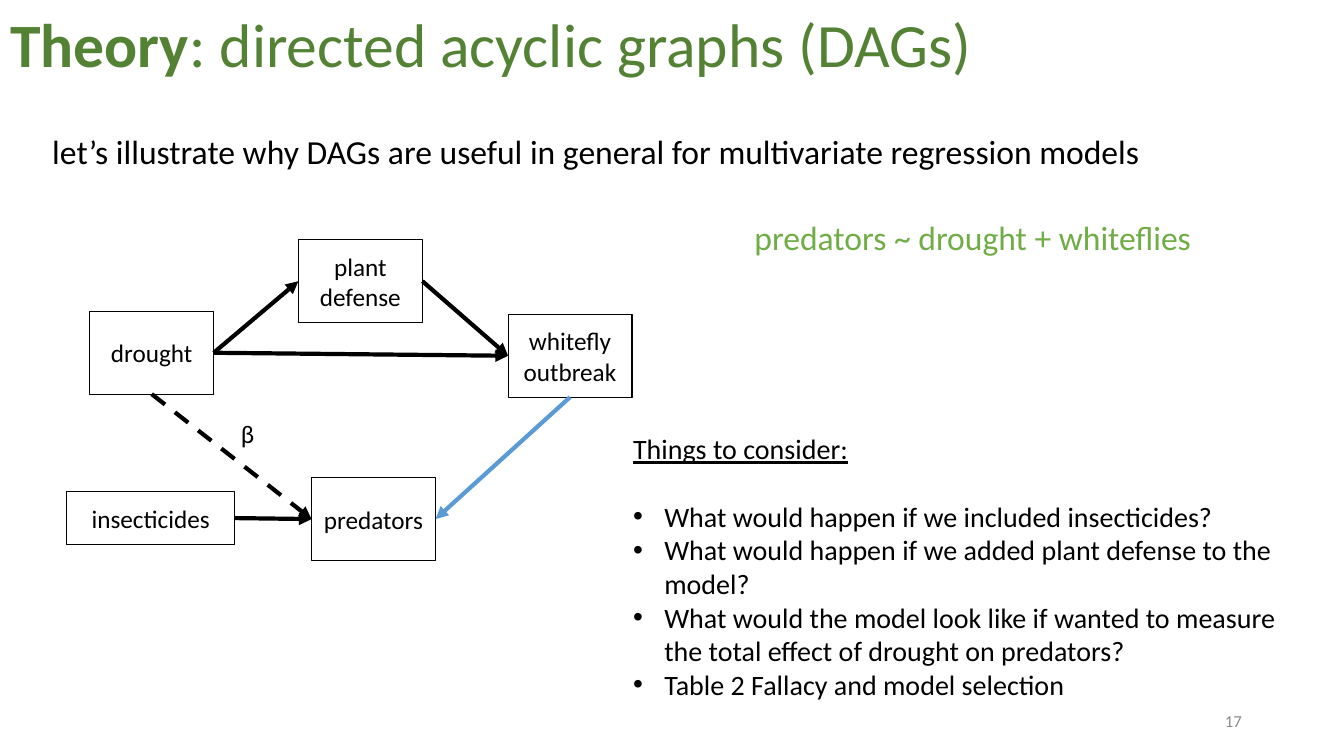
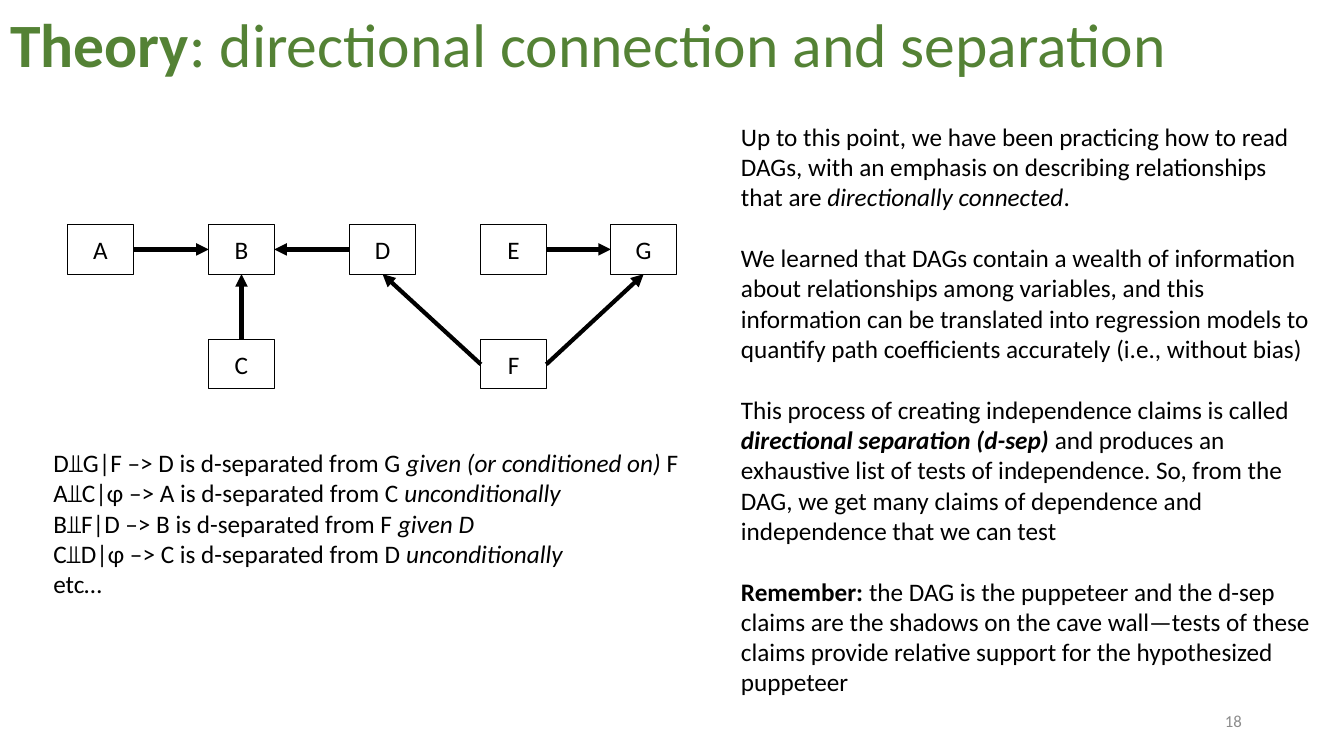
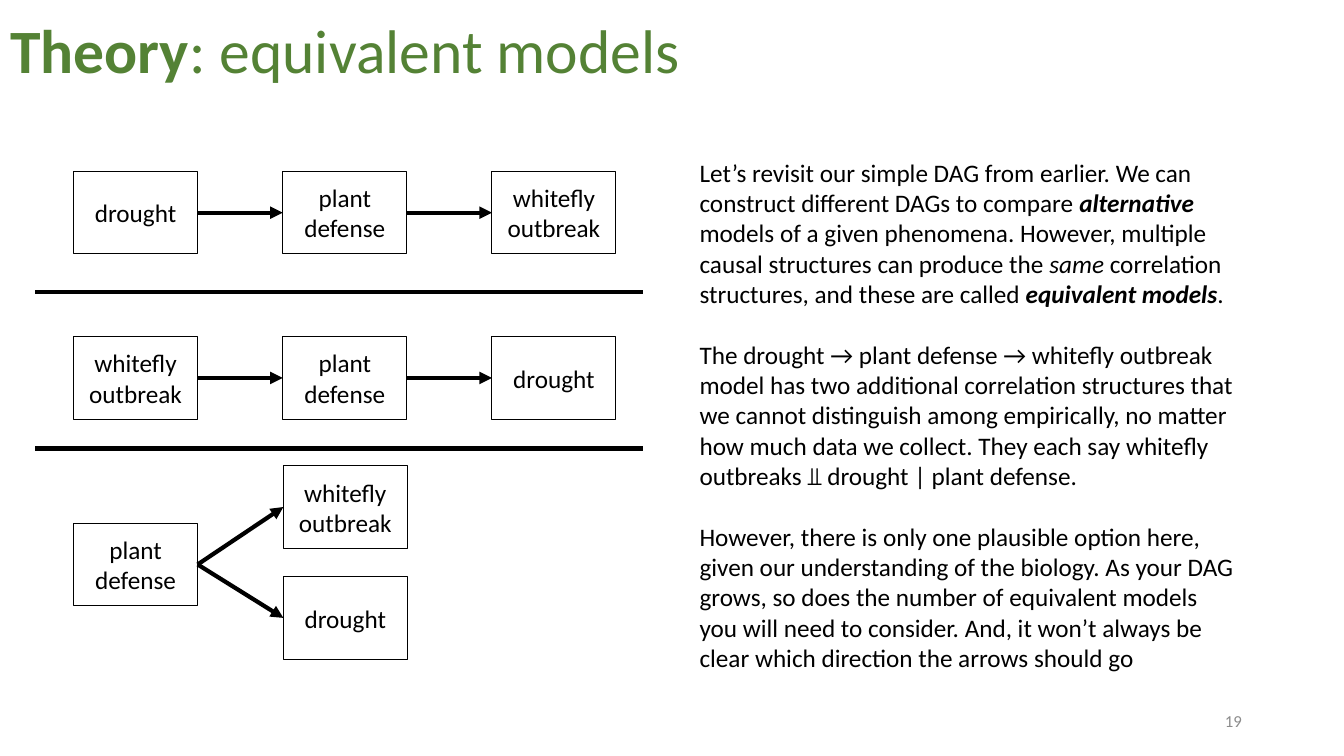
from dataclasses import dataclass

from lxml.etree import SubElement
from pptx import Presentation
from pptx.dml.color import RGBColor
from pptx.enum.dml import MSO_LINE
from pptx.enum.shapes import MSO_CONNECTOR, MSO_SHAPE
from pptx.enum.text import MSO_ANCHOR as Anchor, MSO_AUTO_SIZE, PP_ALIGN as Align
from pptx.oxml.ns import qn
from pptx.util import Inches, Pt

BLACK = RGBColor(0x00, 0x00, 0x00)
TITLE_GREEN = RGBColor(0x54, 0x82, 0x35)
MODEL_GREEN = RGBColor(0x70, 0xAD, 0x47)
PATH_BLUE = RGBColor(0x5B, 0x9B, 0xD5)
NUMBER_GREY = RGBColor(0x8C, 0x8C, 0x8C)
FONT = "Calibri"
FIRST_NUMBER = 17
TITLE_AND_CONTENT, TITLE_ONLY = 1, 5
TOP, LEFT, BOTTOM, RIGHT = range(4)
LINE_HEIGHT = 1.22


@dataclass
class Box:
    """A rectangle whose parts are given as percentages of its size."""

    left: float
    top: float
    width: float
    height: float

    def inside(self, x, y, w, h):
        """Return the box at the given percentages of this one."""
        return Box(self.left + self.width * x / 100, self.top + self.height * y / 100,
                   self.width * w / 100, self.height * h / 100)

    def place(self):
        """Return left, top, width and height as whole lengths."""
        return [round(n) for n in (self.left, self.top, self.width, self.height)]


PAGE = Box(0, 0, Inches(13.33), Inches(7.5))


def add_paragraph(frame, runs, size=18, colour=BLACK, align=Align.LEFT, bullet=False, gap=0):
    """Add one paragraph of (text, style) runs; style letters are b, i and u."""
    paragraph = frame.add_paragraph() if frame.text else frame.paragraphs[0]
    paragraph.alignment = align
    paragraph.space_before = Pt(0)
    paragraph.space_after = Pt(gap)
    properties = paragraph._p.get_or_add_pPr()
    indent = Inches(0.31) if bullet else 0
    properties.set("marL", str(indent))
    properties.set("indent", str(-indent))
    if not bullet:
        SubElement(properties, qn("a:buNone"))
    for text, style in runs:
        run = paragraph.add_run()
        run.text = text
        font = run.font
        font.name, font.size, font.color.rgb = FONT, Pt(size), colour
        font.bold, font.italic, font.underline = ("b" in style, "i" in style, "u" in style)
    return paragraph


def move(placeholder, box):
    """Move a placeholder to a box and return its text frame."""
    placeholder.left, placeholder.top, placeholder.width, placeholder.height = box.place()
    placeholder.text_frame.auto_size = MSO_AUTO_SIZE.NONE
    return placeholder.text_frame


def add_label(slide, box, text, size, colour=BLACK, align=Align.LEFT, anchor=Anchor.TOP):
    """Add a text box with a single plain run."""
    frame = slide.shapes.add_textbox(*box.place()).text_frame
    frame.word_wrap = True
    frame.vertical_anchor = anchor
    add_paragraph(frame, [(text, "")], size, colour, align)


def add_reading(slide, box, paragraphs):
    """Fill the body placeholder with spaced paragraphs."""
    frame = move(slide.placeholders[1], box)
    for runs in paragraphs[:-1]:
        add_paragraph(frame, runs, gap=18 * LINE_HEIGHT)
    add_paragraph(frame, paragraphs[-1])


def start_slide(deck, layout, topic, number, title_height=12):
    """Add a slide with its title and number."""
    slide = deck.slides.add_slide(deck.slide_layouts[layout])
    frame = move(slide.shapes.title, PAGE.inside(0, 0.27, 100, title_height))
    frame.vertical_anchor = Anchor.MIDDLE
    heading = add_paragraph(frame, [("Theory", "b"), (f": {topic}", "")], 44, TITLE_GREEN)
    heading.line_spacing = 0.9
    add_label(slide, PAGE.inside(70.65, 92.67, 22.5, 5.33), str(number), 12,
              NUMBER_GREY, Align.RIGHT, Anchor.MIDDLE)
    return slide


def add_line(slide, start=(0, 0), end=(0, 0), colour=BLACK):
    """Add a thick straight line without a shadow."""
    line = slide.shapes.add_connector(MSO_CONNECTOR.STRAIGHT, *map(round, (*start, *end)))
    line.line.color.rgb = colour
    line.line.width = Pt(3)
    SubElement(line._element.spPr, qn("a:effectLst"))
    return line


def add_arrow(slide, source, source_side, target, target_side, colour=BLACK, dashed=False):
    """Join two variables with an arrow."""
    arrow = add_line(slide, colour=colour)
    arrow.begin_connect(source, source_side)
    arrow.end_connect(target, target_side)
    if dashed:
        arrow.line.dash_style = MSO_LINE.DASH
    outline = arrow._element.spPr.find(qn("a:ln"))
    SubElement(outline, qn("a:tailEnd")).set("type", "triangle")


def add_variable(slide, box, name):
    """Add an outlined box that names a variable."""
    variable = slide.shapes.add_shape(MSO_SHAPE.RECTANGLE, *box.place())
    variable.shadow.inherit = False
    variable.fill.background()
    variable.line.color.rgb = BLACK
    variable.line.width = Pt(0.75)
    variable.text_frame.vertical_anchor = Anchor.MIDDLE
    add_paragraph(variable.text_frame, [(name, "")], align=Align.CENTER)
    return variable


def add_graph(slide, box, places, arrows):
    """Draw the variables at their places in a box, then the arrows between them."""
    variables = {name: add_variable(slide, box.inside(*place), name)
                 for name, place in places.items()}
    for source, source_side, target, target_side, *look in arrows:
        add_arrow(slide, variables[source], source_side, variables[target], target_side, *look)


def add_chain(slide, box, names, width=22.86):
    """Draw evenly spaced variables, each pointing to the next."""
    step = (100 - width) / (len(names) - 1)
    places = {name: (i * step, 0, width, 100) for i, name in enumerate(names)}
    add_graph(slide, box, places, [(a, RIGHT, b, LEFT) for a, b in zip(names, names[1:])])


def add_fork(slide, box, cause, effects):
    """Draw one cause that points to an upper and a lower effect."""
    width, height = 37.16, 42.71
    places = {cause: (0, 29.69, width, height)}
    for name, top in zip(effects, (0, 100 - height)):
        places[name] = (100 - width, top, width, height)
    add_graph(slide, box, places, [(cause, RIGHT, name, LEFT) for name in effects])


def add_predator_graph(slide, box):
    """Draw the graph of drought, whiteflies and predators."""
    width, height = 21.93, 25.79
    places = {
        "drought": (4.1, 22.33, width, height),
        "plant defense": (41, 0, width, height),
        "whitefly outbreak": (78.07, 23.27, width, height),
        "predators": (43.32, 74.21, width, height),
        "insecticides": (0, 78.62, 29.77, 16.35),
    }
    add_graph(slide, box, places, [
        ("drought", RIGHT, "plant defense", LEFT),
        ("plant defense", RIGHT, "whitefly outbreak", LEFT),
        ("drought", RIGHT, "whitefly outbreak", LEFT),
        ("whitefly outbreak", BOTTOM, "predators", RIGHT, PATH_BLUE),
        ("insecticides", RIGHT, "predators", LEFT),
        ("drought", BOTTOM, "predators", LEFT, BLACK, True),
    ])
    add_label(slide, box.inside(29.06, 54.09, 8.91, 12.58), "β", 18)


def add_letter_graph(slide, box):
    """Draw the graph of variables A to G."""
    columns, rows = (0, 23.18, 46.36, 67.88, 89.24), (0, 69.94)
    cells = {"A": (0, 0), "B": (1, 0), "D": (2, 0), "E": (3, 0), "G": (4, 0),
             "C": (1, 1), "F": (3, 1)}
    places = {name: (columns[c], rows[r], 10.76, 30.06) for name, (c, r) in cells.items()}
    add_graph(slide, box, places, [
        ("A", RIGHT, "B", LEFT), ("D", LEFT, "B", RIGHT), ("F", LEFT, "D", BOTTOM),
        ("E", RIGHT, "G", LEFT), ("F", RIGHT, "G", BOTTOM), ("C", TOP, "B", BOTTOM),
    ])


def add_questions(slide, box):
    """Fill the body placeholder with the questions to consider."""
    frame = move(slide.placeholders[1], box)
    add_paragraph(frame, [("Things to consider:", "u")], 20, gap=20 * LINE_HEIGHT)
    for question in (
        "What would happen if we included insecticides?",
        "What would happen if we added plant defense to the model?",
        "What would the model look like if wanted to measure the total effect of drought "
        "on predators?",
        "Table 2 Fallacy and model selection",
    ):
        add_paragraph(frame, [(question, "")], 20, bullet=True)


def add_claims(slide, box):
    """List the independence claims."""
    frame = slide.shapes.add_textbox(*box.place()).text_frame
    frame.word_wrap = True
    for claim in (
        [("D⫫G|F –> D is d-separated from G ", ""), ("given (or conditioned on) ", "i"),
         ("F", "")],
        [("A⫫C|ɸ –> A is d-separated from C ", ""), ("unconditionally", "i")],
        [("B⫫F|D –> B is d-separated from F ", ""), ("given D", "i")],
        [("C⫫D|ɸ –> C is d-separated from D ", ""), ("unconditionally", "i")],
        [("etc…", "")],
    ):
        add_paragraph(frame, claim)


def build_usefulness(deck, number):
    """Build the slide on why graphs help regression models."""
    slide = start_slide(deck, TITLE_AND_CONTENT, "directed acyclic graphs (DAGs)", number)
    add_label(slide, PAGE.inside(3.15, 16.67, 89.33, 6.67),
              "let’s illustrate why DAGs are useful in general for multivariate "
              "regression models", 24)
    add_predator_graph(slide, PAGE.inside(4.95, 31.73, 42.08, 42.4))
    add_label(slide, PAGE.inside(52.43, 28, 39.9, 6.67),
              "predators ~ drought + whiteflies", 24, MODEL_GREEN, Align.CENTER)
    add_questions(slide, PAGE.inside(46.35, 56.4, 49.73, 41.73))


def build_separation(deck, number):
    """Build the slide on directional separation."""
    slide = start_slide(deck, TITLE_AND_CONTENT,
                        "directional connection and separation", number)
    add_letter_graph(slide, PAGE.inside(5.03, 29.73, 45.3, 21.73))
    add_claims(slide, PAGE.inside(3.23, 58.53, 49.2, 25.6))
    add_reading(slide, PAGE.inside(54.38, 15.33, 43.95, 78.13), [
        [("Up to this point, we have been practicing how to read DAGs, with an emphasis on "
          "describing relationships that are ", ""),
         ("directionally connected", "i"), (".", "")],
        [("We learned that DAGs contain a wealth of information about relationships among "
          "variables, and this information can be translated into regression models to "
          "quantify path coefficients accurately (i.e., without bias)", "")],
        [("This process of creating independence claims is called ", ""),
         ("directional separation (d-sep) ", "bi"),
         ("and produces an exhaustive list of tests of independence. So, from the DAG, we "
          "get many claims of dependence and independence that we can test", "")],
        [("Remember: ", "b"),
         ("the DAG is the puppeteer and the d-sep claims are the shadows on the cave "
          "wall—tests of these claims provide relative support for the hypothesized "
          "puppeteer", "")],
    ])


def build_equivalence(deck, number):
    """Build the slide on equivalent models."""
    slide = start_slide(deck, TITLE_AND_CONTENT, "equivalent models", number, 13.6)
    names = ["drought", "plant defense", "whitefly outbreak"]
    for top, chain in ((22.67, names), (44.53, names[::-1])):
        add_chain(slide, PAGE.inside(5.48, top, 40.35, 10.93), chain)
    add_fork(slide, PAGE.inside(5.48, 61.6, 24.83, 25.6), names[1], [names[2], names[0]])
    for height in (38.67, 59.33):
        divider = PAGE.inside(2.63, height, 45.23, 0)
        add_line(slide, (divider.left, divider.top),
                 (divider.left + divider.width, divider.top))
    add_reading(slide, PAGE.inside(51.3, 20.13, 41.78, 70), [
        [("Let’s revisit our simple DAG from earlier. We can construct different DAGs to "
          "compare ", ""), ("alternative", "bi"),
         (" models of a given phenomena. However, multiple causal structures can produce "
          "the ", ""), ("same", "i"),
         (" correlation structures, and these are called ", ""),
         ("equivalent models", "bi"), (".", "")],
        [("The drought → plant defense → whitefly outbreak model has two additional "
          "correlation structures that we cannot distinguish among empirically, no matter "
          "how much data we collect. They each say whitefly outbreaks ⫫ drought | plant "
          "defense.", "")],
        [("However, there is only one plausible option here, given our understanding of the "
          "biology. As your DAG grows, so does the number of equivalent models you will need "
          "to consider. And, it won’t always be clear which direction the arrows should go",
          "")],
    ])


def main():
    """Build and save the deck."""
    deck = Presentation()
    deck.slide_width, deck.slide_height = PAGE.width, PAGE.height
    builders = (build_usefulness, build_separation, build_equivalence)
    for number, build in enumerate(builders, FIRST_NUMBER):
        build(deck, number)
    deck.save("out.pptx")


if __name__ == "__main__":
    main()
